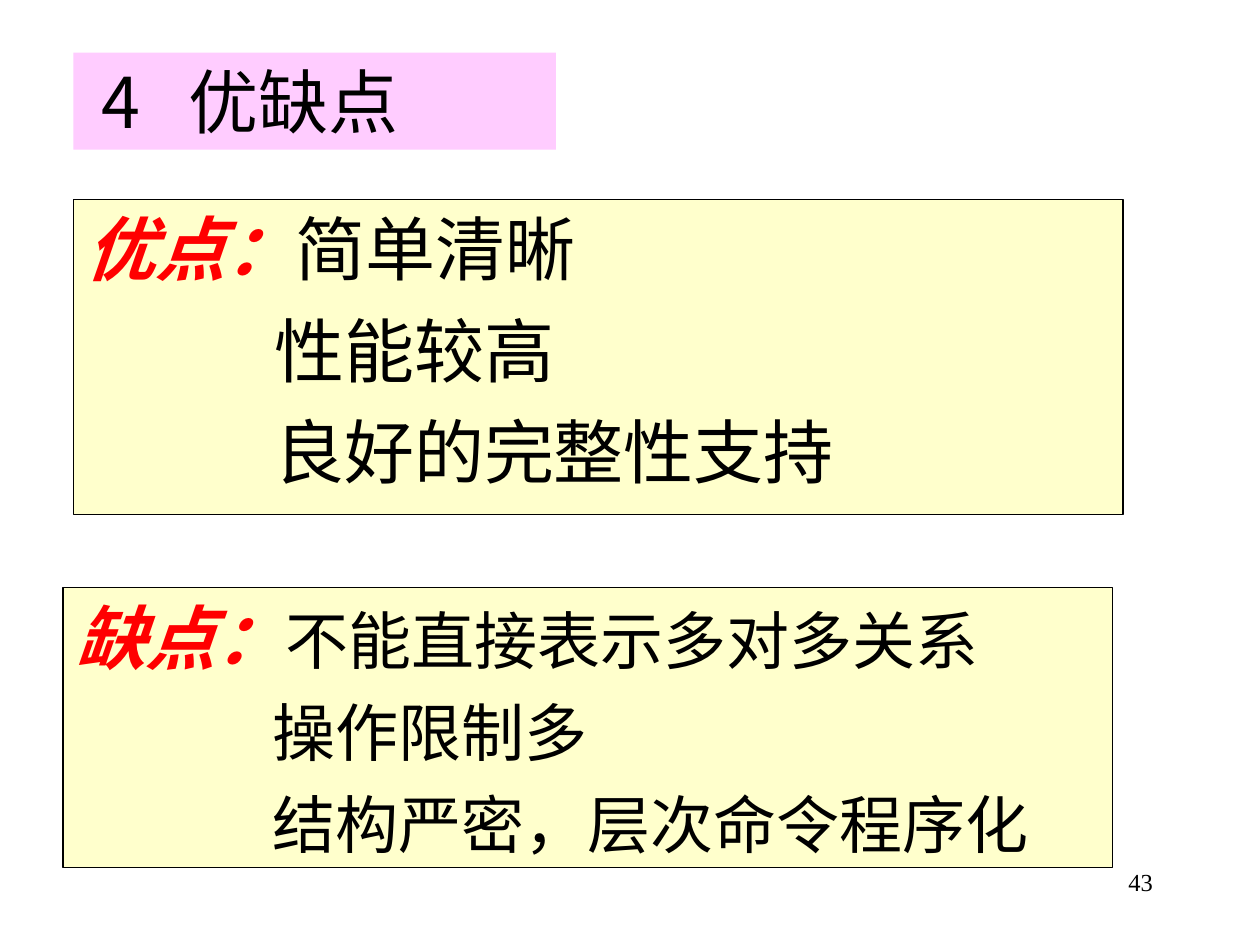
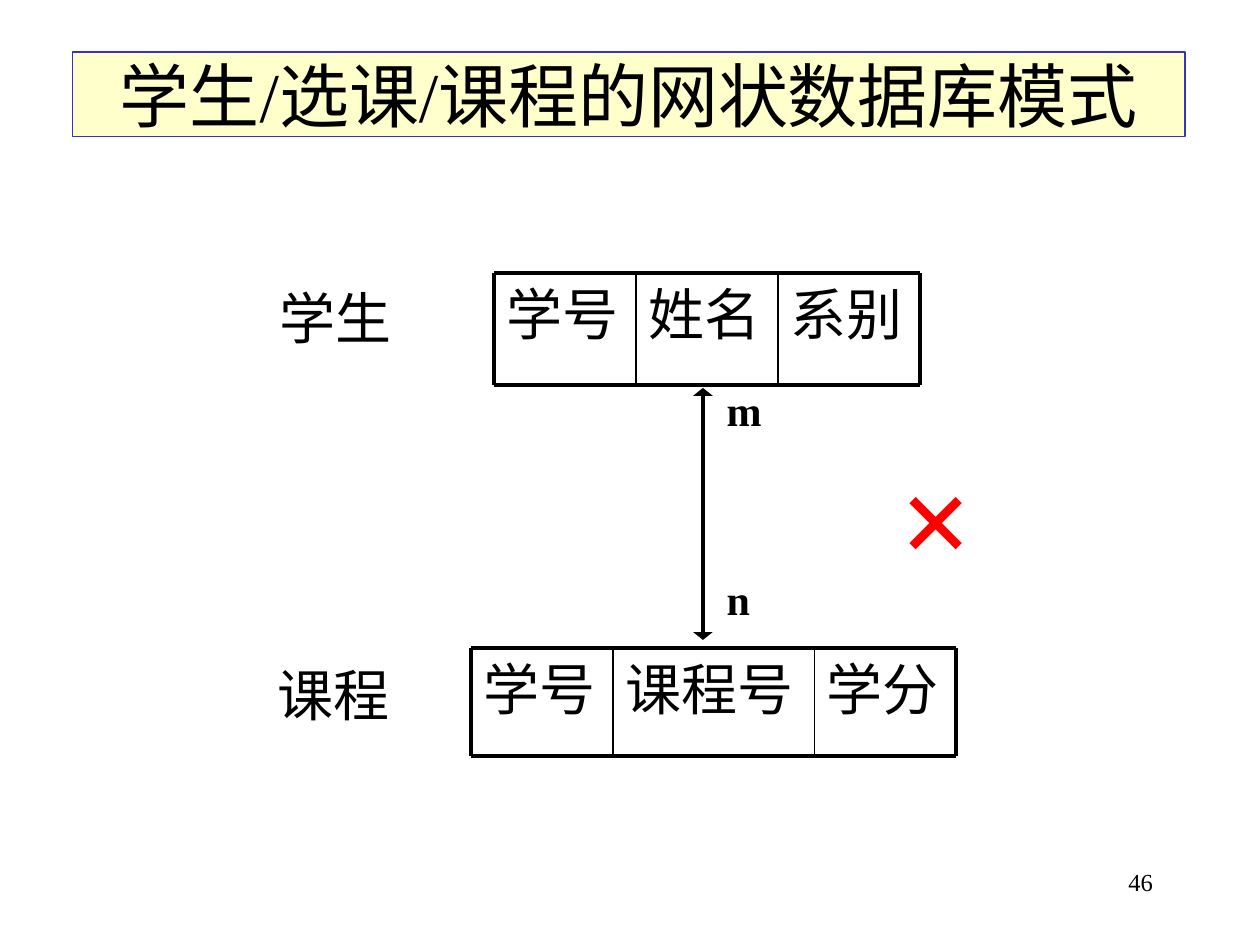
from itertools import accumulate

from lxml import etree
from pptx import Presentation
from pptx.dml.color import RGBColor
from pptx.enum.shapes import MSO_CONNECTOR, MSO_SHAPE
from pptx.enum.text import MSO_ANCHOR, PP_ALIGN
from pptx.oxml.ns import qn
from pptx.util import Cm, Pt

LINE = MSO_CONNECTOR.STRAIGHT
RECT = MSO_SHAPE.RECTANGLE
TOP, MIDDLE = MSO_ANCHOR.TOP, MSO_ANCHOR.MIDDLE
LEFT, CENTER, RIGHT = PP_ALIGN.LEFT, PP_ALIGN.CENTER, PP_ALIGN.RIGHT
SERIF, SANS = "Times New Roman", "Noto Sans CJK SC"
BLACK, RED, BLUE = "000000", "FF0000", "3333CC"
CREAM, PINK = "FFFFCC", "FFCCFF"
INSET = (0.25, 0.13)
FLUSH = (0, 0)
THICK, THIN = 2.25, 1


def paint(code):
    """Return the colour for a hex string."""
    return RGBColor.from_string(code)


def add_run(para, text, size, color=BLACK, bold=False, slant=False, face=SERIF):
    """Add one styled run to a paragraph."""
    run = para.add_run()
    run.text = text
    font = run.font
    font.size = Pt(size)
    font.bold, font.italic = bold, slant
    font.color.rgb = paint(color)
    font.name = face
    etree.SubElement(font._element, qn("a:ea"), typeface=SANS)


def set_frame(frame, inset=INSET, anchor=TOP):
    """Set wrapping, insets and anchor of a text frame."""
    frame.word_wrap = True
    frame.vertical_anchor = anchor
    frame.margin_left = frame.margin_right = Cm(inset[0])
    frame.margin_top = frame.margin_bottom = Cm(inset[1])


def add_label(slide, box, text, size, align=LEFT, inset=INSET, **style):
    """Add a one-line text box."""
    frame = slide.shapes.add_textbox(*map(Cm, box)).text_frame
    set_frame(frame, inset)
    para = frame.paragraphs[0]
    para.alignment = align
    add_run(para, text, size, **style)


def add_panel(slide, box, fill, edge=None, inset=INSET, anchor=TOP):
    """Add a filled rectangle and return its text frame."""
    shape = slide.shapes.add_shape(RECT, *map(Cm, box))
    shape.shadow.inherit = False
    shape.fill.solid()
    shape.fill.fore_color.rgb = paint(fill)
    if edge:
        shape.line.color.rgb = paint(edge)
        shape.line.width = Pt(0.75)
    else:
        shape.line.fill.background()
    frame = shape.text_frame
    set_frame(frame, inset, anchor)
    frame.paragraphs[0].alignment = LEFT
    return frame


def add_line(slide, start, end, width=THICK):
    """Add a straight black line."""
    line = slide.shapes.add_connector(LINE, *map(Cm, start + end))
    line.line.color.rgb = paint(BLACK)
    line.line.width = Pt(width)
    etree.SubElement(line._element.spPr, qn("a:effectLst"))
    return line


def add_page(slide, number):
    """Add the page number."""
    add_label(slide, (18.21, 17.35, 5.28, 1.27), number, 14, RIGHT)


def add_tag(slide, box, number, text):
    """Add a numbered section tag."""
    frame = add_panel(slide, box, PINK)
    frame.margin_left = Cm(0.57)
    para = frame.paragraphs[0]
    tabs = etree.SubElement(para._p.get_or_add_pPr(), qn("a:tabLst"))
    etree.SubElement(tabs, qn("a:tab"), pos=str(Cm(1.76)), algn="l")
    add_run(para, f"{number}\t{text}", 40, face=SANS)


def add_points(slide, box, head, points, size, hang):
    """Add a panel with a red heading and hanging points."""
    frame = add_panel(slide, box, CREAM, BLACK)
    for i, point in enumerate(points):
        para = frame.paragraphs[0] if i == 0 else frame.add_paragraph()
        para.alignment = LEFT
        props = para._p.get_or_add_pPr()
        props.set("marL", str(Cm(hang)))
        props.set("indent", str(-Cm(hang) if i == 0 else 0))
        if i == 0:
            add_run(para, head, 40, RED, bold=True, slant=True)
        else:
            para.space_before = Pt(size / 4)
        add_run(para, point, size)


def add_title(slide, box, text):
    """Add a framed slide title."""
    frame = add_panel(slide, box, CREAM, BLUE, FLUSH, MIDDLE)
    para = frame.paragraphs[0]
    para.alignment = CENTER
    add_run(para, text, 40)


def add_record(slide, box, fields):
    """Add a record type: a ruled row of (name, width) fields."""
    left, top, wide, high = box
    right, base = left + wide, top + high
    edges = list(accumulate((width for _, width in fields), initial=left))
    for x, (name, width) in zip(edges, fields):
        add_label(slide, (x, top, width, high), name, 32)
    for y in (top, base):
        add_line(slide, (left, y), (right, y))
    for x in edges:
        outer = x in (edges[0], edges[-1])
        add_line(slide, (x, top), (x, base), THICK if outer else THIN)


def add_link(slide, x, top, end, marks):
    """Add a double arrow with a mark beside each end."""
    stroke = add_line(slide, (x, top), (x, end)).line._get_or_add_ln()
    for tip in ("headEnd", "tailEnd"):
        etree.SubElement(stroke, qn(f"a:{tip}"), type="triangle", w="lg", len="sm")
    for mark, y in zip(marks, (top - 0.2, end - 1.47)):
        add_label(slide, (x + 0.23, y, 1.27, 1.27), mark, 24, bold=True)


def build_review(slide):
    """Build the slide of strengths and weaknesses."""
    add_page(slide, "43")
    add_points(slide, (1.48, 4.02, 21.16, 6.35), "优点：",
               ("简单清晰", "性能较高", "良好的完整性支持"), 40, 3.8)
    add_tag(slide, (1.48, 1.06, 9.73, 1.96), 4, "优缺点")
    add_points(slide, (1.27, 11.85, 21.16, 5.64), "缺点：",
               ("不能直接表示多对多关系", "操作限制多", "结构严密，层次命令程序化"),
               36, 3.98)


def build_schema(slide):
    """Build the slide of the network schema."""
    add_page(slide, "46")
    add_title(slide, (1.46, 1.05, 22.43, 1.7), "学生/选课/课程的网状数据库模式")
    add_label(slide, (5.5, 5.72, 2.54, 1.35), "学生", 32, CENTER, FLUSH)
    add_record(slide, (9.96, 5.51, 8.58, 2.26),
               (("学号", 2.86), ("姓名", 2.86), ("系别", 2.86)))
    add_record(slide, (9.5, 13.06, 9.78, 2.18),
               (("学号", 2.86), ("课程号", 4.06), ("学分", 2.86)))
    add_label(slide, (5.28, 13.31, 2.87, 1.35), "课程", 32, CENTER, FLUSH)
    add_link(slide, 14.17, 7.82, 12.9, "mn")
    add_label(slide, (17.91, 8.74, 3.81, 3.3), "×", 72, color=RED, bold=True)


def main():
    """Build and save the slides."""
    deck = Presentation()
    deck.slide_width, deck.slide_height = Cm(25.4), Cm(19.05)
    for build in (build_review, build_schema):
        build(deck.slides.add_slide(deck.slide_layouts[6]))
    deck.save("out.pptx")


if __name__ == "__main__":
    main()
